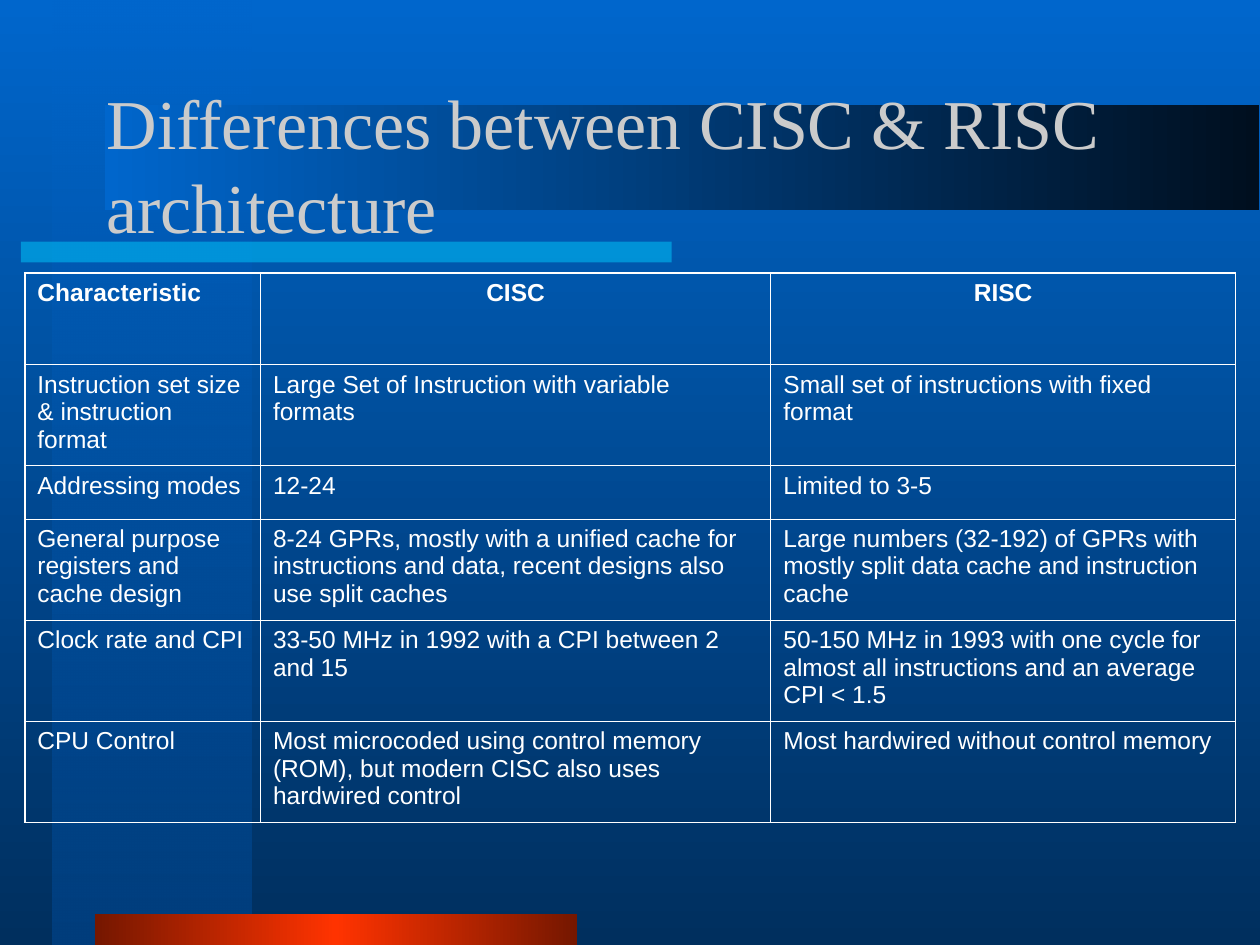
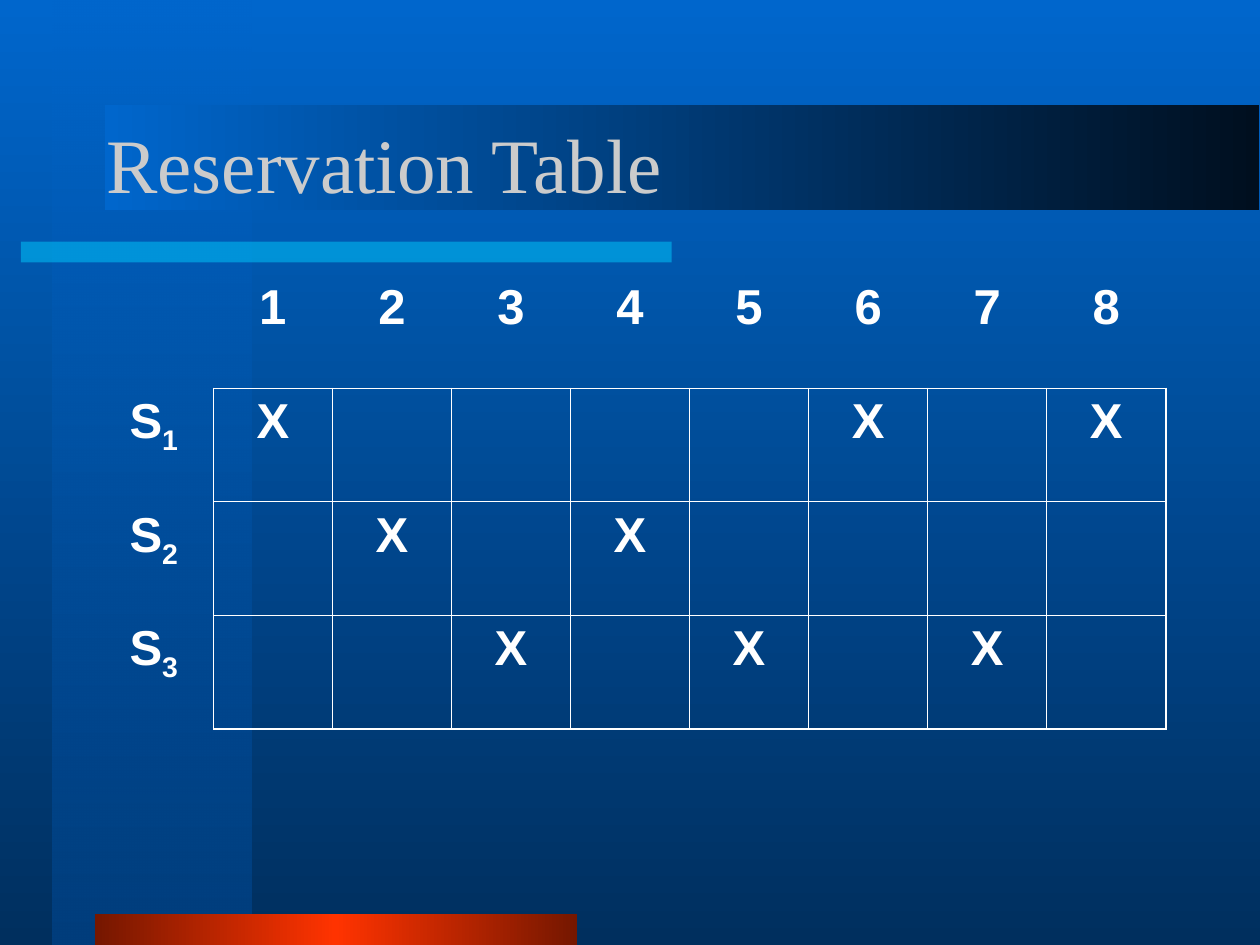
import pptx
import pptx.util
import pptx.dml.color
import pptx.enum.shapes
import pptx.enum.text
import pptx.oxml
import pptx.oxml.ns
from dataclasses import dataclass
from lxml import etree

Cm, Pt = pptx.util.Cm, pptx.util.Pt
RGB = pptx.dml.color.RGBColor.from_string
ALIGN = pptx.enum.text.PP_ALIGN
qn = pptx.oxml.ns.qn


@dataclass(frozen=True)
class Theme:
    sky: str = "0066CC"
    deep: str = "002F5E"
    navy: str = "003E7D"
    night: str = "000F1F"
    cyan: str = "00CCFF"
    red: str = "FF3300"
    rust: str = "751700"
    grey: str = "CBCBCB"
    white: str = "FFFFFF"
    serif: str = "Times New Roman"
    sans: str = "Arial"
    title: int = 44
    small: int = 40     # two-line title
    body: int = 14
    mark: int = 28
    thin: float = 0.45
    thick: float = 1.08


T = Theme()

TRAITS = [
    ("Characteristic", "CISC", "RISC"),
    ("Instruction set size & instruction format",
     "Large Set of Instruction with variable formats",
     "Small set of instructions with fixed format"),
    ("Addressing modes", "12-24", "Limited to 3-5"),
    ("General purpose registers and cache design",
     "8-24 GPRs, mostly with a unified cache for instructions and data, "
     "recent designs also use split caches",
     "Large numbers (32-192) of GPRs with mostly split data cache and "
     "instruction cache"),
    ("Clock rate and CPI",
     "33-50 MHz in 1992 with a CPI between 2 and 15",
     "50-150 MHz in 1993 with one cycle for almost all instructions and "
     "an average CPI < 1.5"),
    ("CPU Control",
     "Most microcoded using control memory (ROM), but modern CISC also "
     "uses hardwired control",
     "Most hardwired without control memory"),
]

# Clock cycles in which each pipeline stage is busy
CYCLES = 8
STAGES = {1: (1, 6, 8), 2: (2, 4), 3: (3, 5, 7)}


# Fills
def tint(parent, color, alpha=100):
    node = etree.SubElement(parent, qn("a:srgbClr"), val=color)
    if alpha < 100:
        etree.SubElement(node, qn("a:alpha"), val=str(alpha * 1000))


def blend(fill, root, angle, stops):
    """Linear gradient; stops are (percent, colour, alpha)."""
    fill.gradient()
    fill.gradient_angle = angle
    group = root.find(".//" + qn("a:gsLst"))
    for old in list(group):
        group.remove(old)
    for spot, color, alpha in stops:
        stop = etree.SubElement(group, qn("a:gs"), pos=str(spot * 1000))
        tint(stop, color, alpha)


# Shared slide design
def band(slide, box, angle, *stops):
    """Bar without outline; a single stop gives an even fill."""
    kind = pptx.enum.shapes.MSO_SHAPE.RECTANGLE
    bar = slide.shapes.add_shape(kind, *map(Cm, box))
    bar.shadow.inherit = False
    bar.line.fill.background()
    if len(stops) > 1:
        blend(bar.fill, bar._element, angle, stops)
        return
    color, alpha = stops[0][1:]
    bar.fill.solid()
    bar.fill.fore_color.rgb = RGB(color)
    solid = bar._element.spPr.find(qn("a:solidFill"))
    solid.clear()
    tint(solid, color, alpha)


def style(run, size, color, face, bold=False):
    run.font.size = Pt(size)
    run.font.color.rgb = RGB(color)
    run.font.name = face
    run.font.bold = bold


def base(deck, title, size):
    slide = deck.slides.add_slide(deck.slide_layouts[6])
    blend(slide.background.fill, slide._element, 270,
          [(0, T.sky, 100), (100, T.deep, 100)])
    band(slide, (1.06, 0, 4.02, 19.05), 270,
         (0, T.sky, 50), (100, T.navy, 100))
    band(slide, (0.42, 4.87, 13.12, 0.42), 0, (0, T.cyan, 50))
    band(slide, (1.91, 18.42, 9.72, 0.63), 180,
         (0, T.rust, 100), (50, T.red, 100), (100, T.rust, 100))
    band(slide, (2.12, 2.12, 23.27, 2.12), 180,
         (0, T.night, 100), (100, T.sky, 100))

    # Title
    box = slide.shapes.add_textbox(Cm(1.9), Cm(1.7), Cm(21.6), Cm(3.18))
    frame = box.text_frame
    frame.word_wrap = True
    frame.vertical_anchor = pptx.enum.text.MSO_ANCHOR.MIDDLE
    frame.text = title
    style(frame.paragraphs[0].runs[0], size, T.grey, T.serif)
    return slide


# Tables
def rule(cell, side, width):
    props = cell._tc.get_or_add_tcPr()
    line = etree.SubElement(props, qn("a:ln" + side), w=str(Pt(width)))
    if width:
        tint(etree.SubElement(line, qn("a:solidFill")), T.white)
    else:
        etree.SubElement(line, qn("a:noFill"))


def weight(spot, lane, first, last):
    """Width of grid line number spot where it runs along a row or column."""
    if min(spot, lane) < first:
        return 0
    return T.thick if spot in (0, last) else T.thin


def grid(slide, left, top, cols, rows, first=0):
    """Clear table ruled from row and column number first onward."""
    wide, high = len(cols), len(rows)
    frame = slide.shapes.add_table(high, wide, Cm(left), Cm(top),
                                   Cm(sum(cols)), Cm(sum(rows)))
    table = frame.table
    table.first_row = table.horz_banding = False
    for col, size in zip(table.columns, cols):
        col.width = Cm(size)
    for row, size in zip(table.rows, rows):
        row.height = Cm(size)
    for y in range(high):
        for x in range(wide):
            cell = table.cell(y, x)
            rule(cell, "L", weight(x, y, first, wide))
            rule(cell, "R", weight(x + 1, y, first, wide))
            rule(cell, "T", weight(y, x, first, high))
            rule(cell, "B", weight(y + 1, x, first, high))
            cell.fill.background()
    return table


def put(cell, text, size, bold=True, align=ALIGN.CENTER, sub=""):
    para = cell.text_frame.paragraphs[0]
    para.text = text
    para.alignment = align
    para.space_before = Pt(size / 4)
    if sub:
        low = para.add_run()
        low.text = sub
        low.font._element.set("baseline", "-25000")
    for run in para.runs:
        style(run, size, T.white, T.sans, bold)


# Slides
def compare(deck):
    slide = base(deck, "Differences between CISC & RISC architecture", T.small)
    tall = 2.04
    table = grid(slide, 0.5, 5.5, [4.75, 10.29, 9.37],
                 [1.85, tall, 1.07, tall, tall, tall])
    for y, row in enumerate(TRAITS):
        for x, text in enumerate(row):
            mid = y == 0 and x > 0
            put(table.cell(y, x), text, T.body, y == 0,
                ALIGN.CENTER if mid else ALIGN.LEFT)


def reserve(deck):
    slide = base(deck, "Reservation Table", T.title)
    table = grid(slide, 1.9, 5.53, [2.4] * (CYCLES + 1),
                 [2.29] * (len(STAGES) + 1), first=1)
    for cycle in range(1, CYCLES + 1):
        put(table.cell(0, cycle), str(cycle), T.mark)
    for stage, busy in STAGES.items():
        put(table.cell(stage, 0), "S", T.mark, sub=str(stage))
        for cycle in busy:
            put(table.cell(stage, cycle), "X", T.mark)


def main():
    deck = pptx.Presentation()
    deck.slide_width, deck.slide_height = Cm(25.4), Cm(19.05)
    compare(deck)
    reserve(deck)
    deck.save("out.pptx")


if __name__ == "__main__":
    main()
